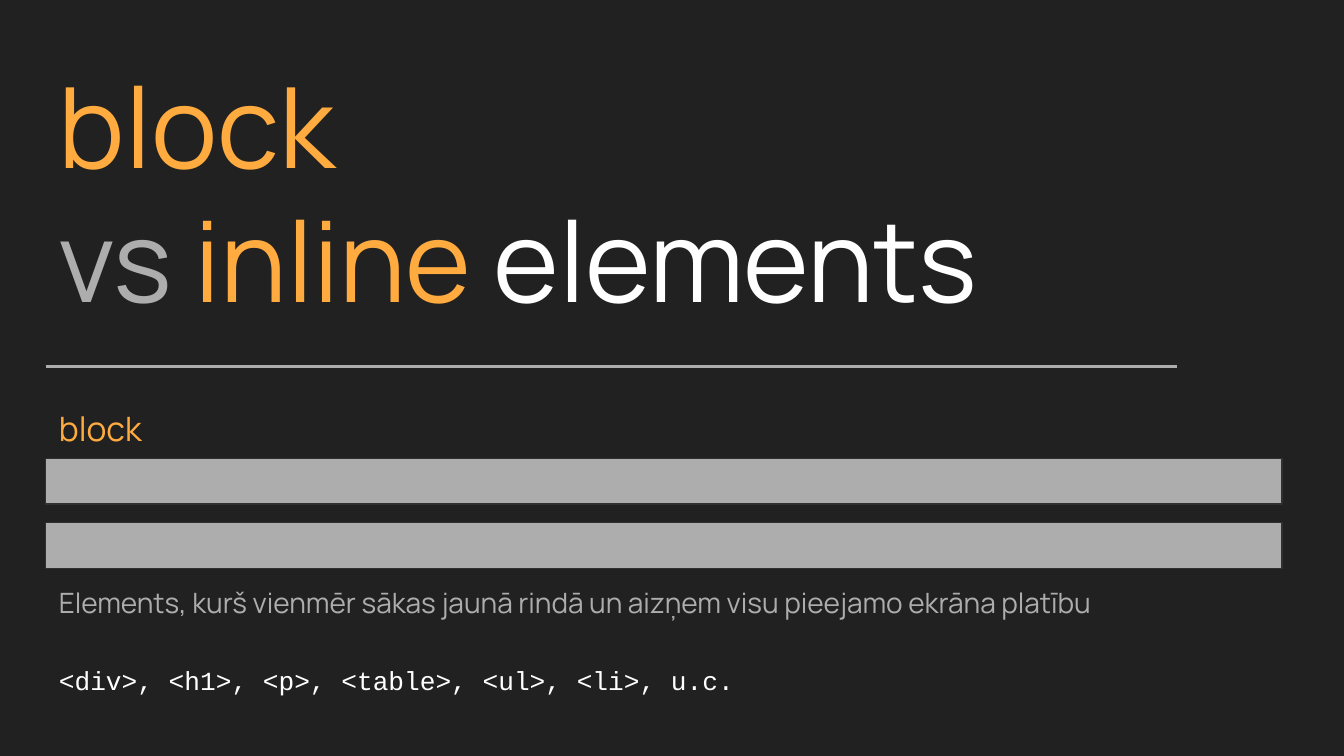
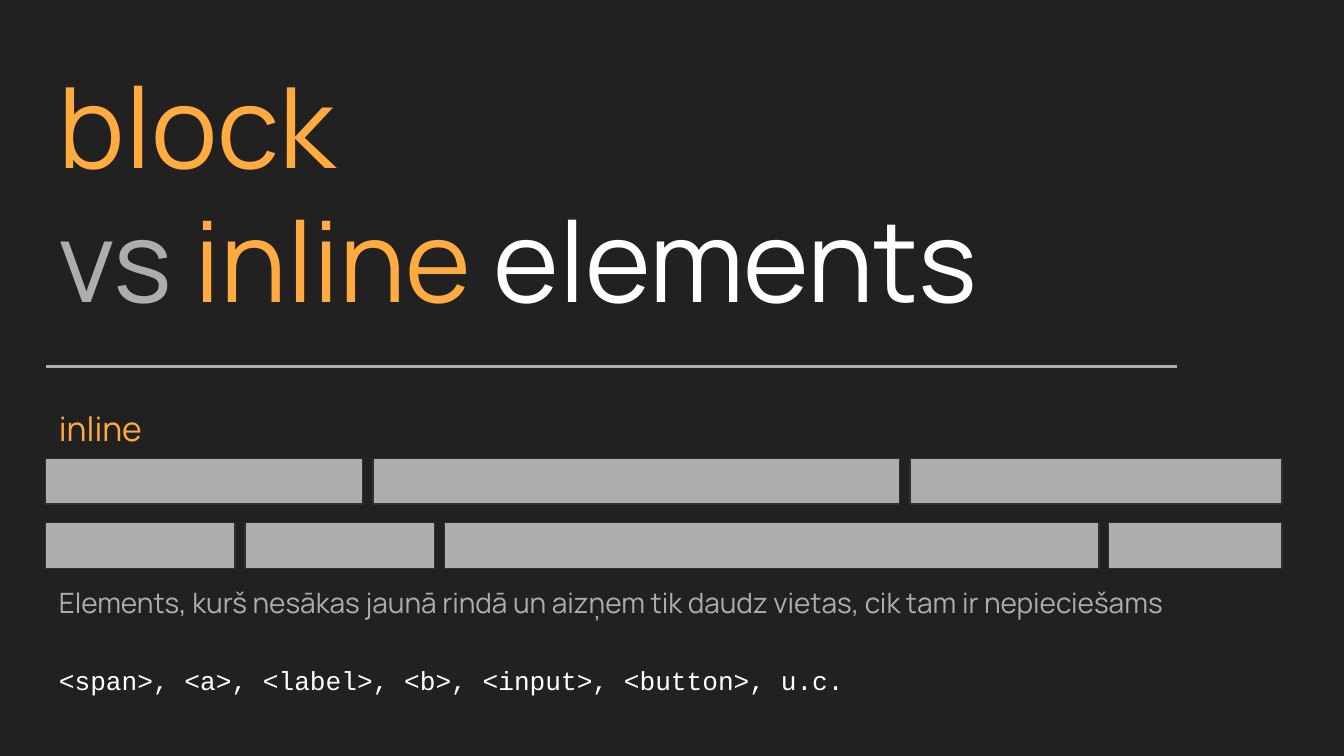
from dataclasses import dataclass

from lxml import etree
from pptx import Presentation
from pptx import util as u
from pptx.dml.color import RGBColor
from pptx.enum import shapes, text
from pptx.oxml.ns import qn


@dataclass(frozen=True)
class Theme:
    background: str = "212121"
    accent: str = "FFAB40"
    muted: str = "ADADAD"
    bright: str = "FFFFFF"
    outline: str = "303030"
    font: str = "Manrope"
    code_font: str = "Courier New"
    title_size: int = 60
    label_size: int = 18
    description_size: int = 15
    code_size: int = 14


THEME = Theme()

TITLE_LINES = [
    [("block", THEME.accent)],
    [("vs ", THEME.muted), ("inline ", THEME.accent), ("elements", THEME.bright)],
]

# Each bar row lists the widths of its bars; the gaps fill what is left.
SLIDES = [
    {
        "label": "block",
        "bar_rows": [[9.2], [9.2]],
        "description": "Elements, kurš vienmēr sākas jaunā rindā un aizņem visu pieejamo ekrāna platību",
        "description_size": (9.2, 0.43),
        "tags": "<div>, <h1>, <p>, <table>, <ul>, <li>, u.c.",
    },
    {
        "label": "inline",
        "bar_rows": [[2.36, 3.92, 2.77], [1.41, 1.41, 4.87, 1.29]],
        "description": "Elements, kurš nesākas jaunā rindā un aizņem tik daudz vietas, cik tam ir nepieciešams",
        "description_size": (9.32, 0.69),
        "tags": "<span>, <a>, <label>, <b>, <input>, <button>, u.c.",
    },
]

SLIDE_WIDTH = 10
SLIDE_SIZE = (SLIDE_WIDTH, SLIDE_WIDTH * 9 / 16)
LEFT = 0.34
CONTENT_WIDTH = 9.2
TITLE_BOX = (LEFT, 0.32, 9.32, 2.23)
RULE_TOP, RULE_WIDTH = 2.73, 8.42
LABEL_BOX = (LEFT, 2.89, 1.04, 0.52)
BARS_TOP, BAR_HEIGHT, BAR_PITCH = 3.41, 0.34, 0.48
DESCRIPTION_TOP = 4.22
TAGS_BOX = (LEFT, 4.81, CONTENT_WIDTH, 0.46)
INSET = 0.1


def inches(values):
    return [u.Inches(value) for value in values]


def color(value):
    return RGBColor.from_string(value)


def style_run(run, font, size, run_color):
    run.font.name = font
    run.font.size = u.Pt(size)
    run.font.color.rgb = color(run_color)


def add_text_box(slide, box):
    """Add an empty wrapping text box and return its first paragraph."""
    frame = slide.shapes.add_textbox(*inches(box)).text_frame
    frame.word_wrap = True
    frame.vertical_anchor = text.MSO_ANCHOR.TOP
    frame.margin_left = frame.margin_right = u.Inches(INSET)
    frame.margin_top = frame.margin_bottom = u.Inches(INSET)
    return frame.paragraphs[0]


def add_title(slide):
    paragraph = add_text_box(slide, TITLE_BOX)
    for index, line in enumerate(TITLE_LINES):
        if index:
            paragraph.add_line_break()
        for words, run_color in line:
            run = paragraph.add_run()
            run.text = words
            style_run(run, THEME.font, THEME.title_size, run_color)


def add_rule(slide):
    rule = slide.shapes.add_connector(
        shapes.MSO_CONNECTOR.STRAIGHT,
        *inches((LEFT, RULE_TOP, LEFT + RULE_WIDTH, RULE_TOP)),
    )
    rule.line.color.rgb = color(THEME.muted)
    rule.line.width = u.Pt(1.5)
    etree.SubElement(rule._element.spPr, qn("a:effectLst"))


def add_body_text(slide, box, words, font, size, text_color):
    paragraph = add_text_box(slide, box)
    paragraph.text = words
    paragraph.line_spacing = 1.15
    paragraph.space_after = u.Pt(16)
    style_run(paragraph.runs[0], font, size, text_color)


def add_bar_row(slide, top, widths):
    """Spread the bars over the content width with equal gaps."""
    gap = (CONTENT_WIDTH - sum(widths)) / max(len(widths) - 1, 1)
    left = LEFT
    for width in widths:
        bar = slide.shapes.add_shape(
            shapes.MSO_SHAPE.RECTANGLE, *inches((left, top, width, BAR_HEIGHT))
        )
        bar.shadow.inherit = False
        bar.fill.solid()
        bar.fill.fore_color.rgb = color(THEME.muted)
        bar.line.color.rgb = color(THEME.outline)
        bar.line.width = u.Pt(0.75)
        left += width + gap


def add_slide(presentation, content):
    slide = presentation.slides.add_slide(presentation.slide_layouts[6])
    slide.background.fill.solid()
    slide.background.fill.fore_color.rgb = color(THEME.background)
    add_title(slide)
    add_rule(slide)
    add_body_text(slide, LABEL_BOX, content["label"],
                  THEME.font, THEME.label_size, THEME.accent)
    for row, widths in enumerate(content["bar_rows"]):
        add_bar_row(slide, BARS_TOP + row * BAR_PITCH, widths)
    add_body_text(slide, (LEFT, DESCRIPTION_TOP, *content["description_size"]),
                  content["description"],
                  THEME.font, THEME.description_size, THEME.muted)
    add_body_text(slide, TAGS_BOX, content["tags"],
                  THEME.code_font, THEME.code_size, THEME.bright)


def main():
    presentation = Presentation()
    presentation.slide_width, presentation.slide_height = inches(SLIDE_SIZE)
    for content in SLIDES:
        add_slide(presentation, content)
    presentation.save("out.pptx")


if __name__ == "__main__":
    main()
